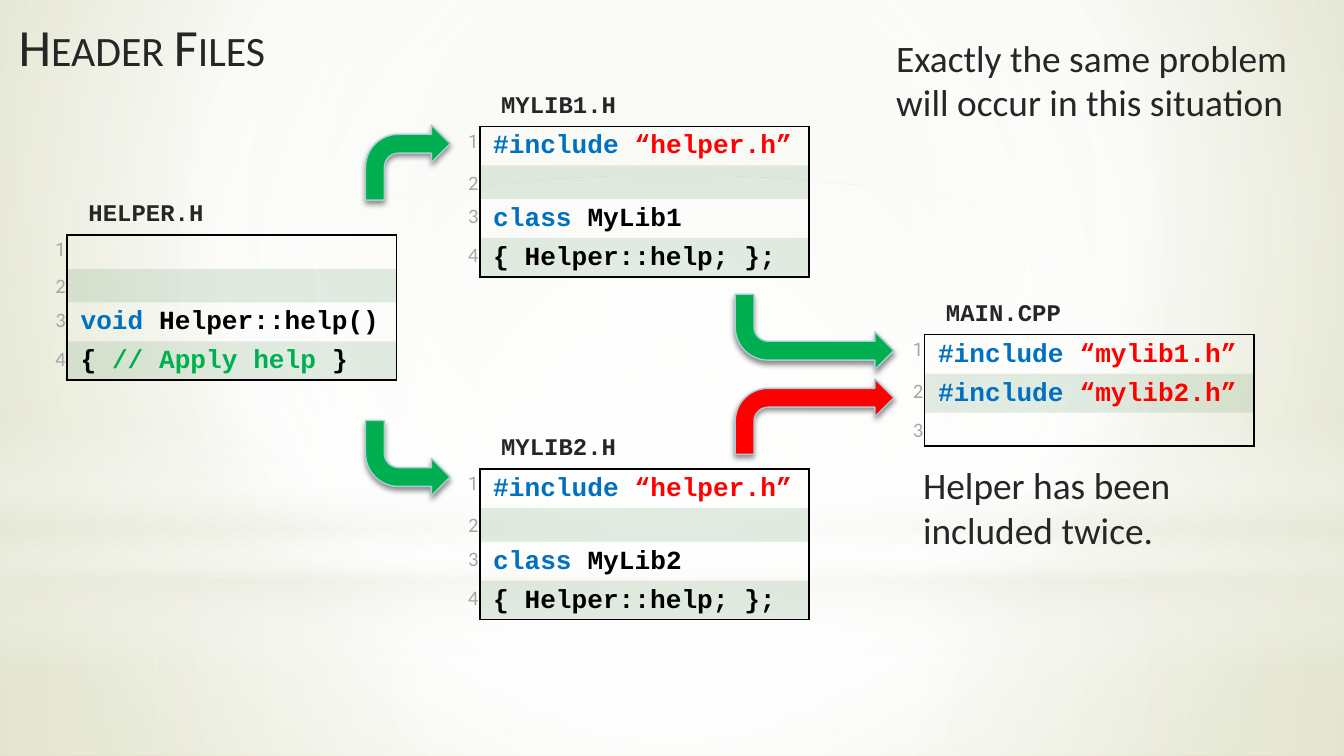
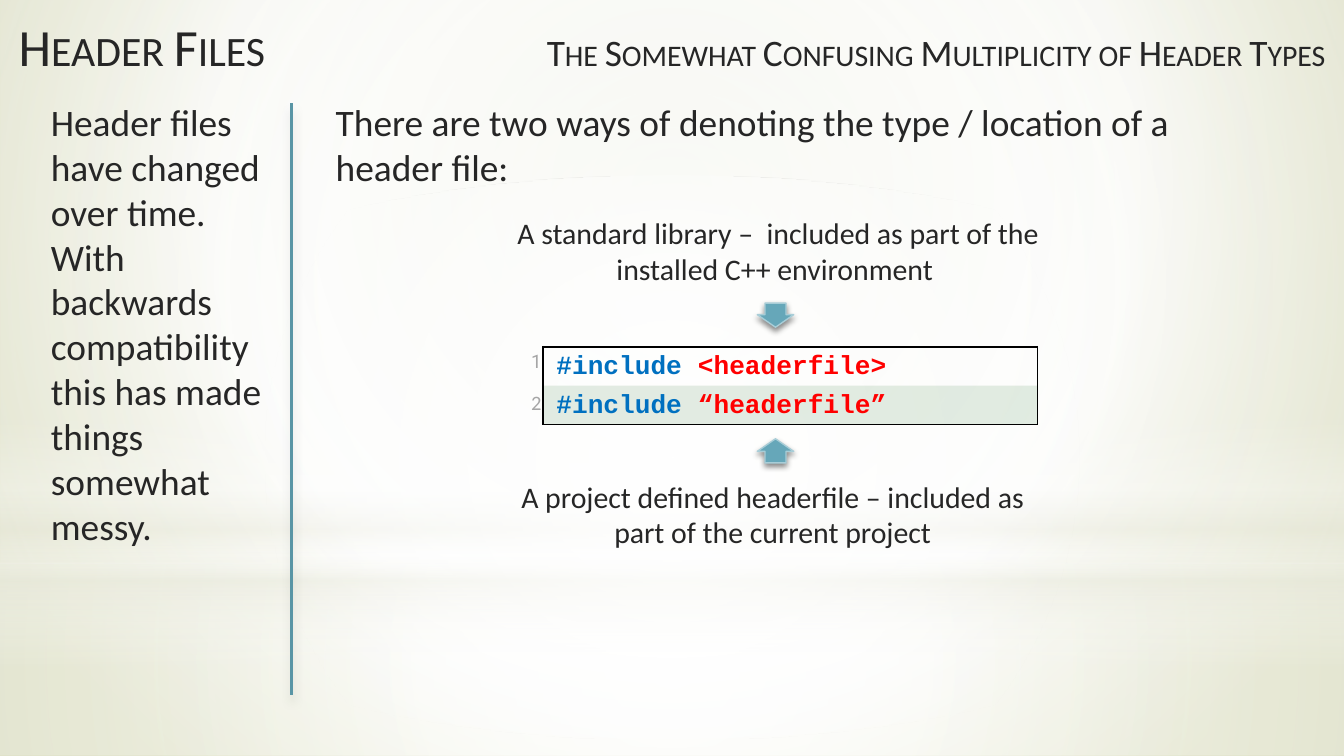
from lxml import etree
from pptx import Presentation
from pptx.dml.color import RGBColor
from pptx.enum.shapes import MSO_CONNECTOR, MSO_SHAPE
from pptx.enum.text import PP_ALIGN
from pptx.oxml.ns import qn
from pptx.util import Inches, Pt

RECT, ELLIPSE = MSO_SHAPE.RECTANGLE, MSO_SHAPE.OVAL
BENT_ARROW, RIGHT_ARROW = MSO_SHAPE.BENT_ARROW, MSO_SHAPE.RIGHT_ARROW
STRAIGHT = MSO_CONNECTOR.STRAIGHT
LEFT, CENTER, RIGHT = PP_ALIGN.LEFT, PP_ALIGN.CENTER, PP_ALIGN.RIGHT

SLIDE_WIDTH = 10
SLIDE_HEIGHT = SLIDE_WIDTH * 9 / 16

BODY_FONT, CODE_FONT, FIRST_NUMBER_FONT = "Calibri", "Courier New", "Roboto"
TEXT = RGBColor(0x26, 0x26, 0x26)
BLACK = RGBColor(0, 0, 0)
WHITE = RGBColor(0xFF, 0xFF, 0xFF)
NUMBER = RGBColor(0xA6, 0xA6, 0xA6)
KEYWORD = RGBColor(0x00, 0x70, 0xC0)
RED = RGBColor(0xFF, 0x00, 0x00)
GREEN = RGBColor(0x00, 0xB0, 0x50)
BAND = RGBColor(0x72, 0xA3, 0x76)
TEAL = RGBColor(0x66, 0xA7, 0xB9)
OUTLINE = RGBColor(0xA8, 0xCD, 0xD7)
DIVIDER = RGBColor(0x59, 0x95, 0xA5)
CREAM = RGBColor(0xEA, 0xEB, 0xDE)
PALE_OLIVE = RGBColor(0xE3, 0xE5, 0xD1)
OLIVE = RGBColor(0xCC, 0xD0, 0x9F)

NO_TABLE_STYLE = "{2D5ABB26-0587-4C30-8999-92F81FD0307C}"
CENTRE_FOCUS = (50, 50, 50, 50)
# Backdrop layers: shape, box, stops (position, colour, opacity), focus or None if linear
BACKDROP = [
    (RECT, (0, 4.19, SLIDE_WIDTH, SLIDE_HEIGHT - 4.19),
     [(0, WHITE, 91), (37, WHITE, 76), (100, CREAM, 79)], CENTRE_FOCUS),
    (RECT, (0, 0, SLIDE_WIDTH, 4.19),
     [(0, WHITE, 89), (48, WHITE, 62), (100, CREAM, 79)], CENTRE_FOCUS),
    (RECT, (0, 3.09, SLIDE_WIDTH, 1.88),
     [(0, WHITE, 0), (29, WHITE, 30), (45, CREAM, 40), (55, WHITE, 26),
      (65, CREAM, 60), (100, WHITE, 0)], None),
    (ELLIPSE, (0, 1.31, SLIDE_WIDTH, 4.19),
     [(0, WHITE, 100), (56, WHITE, 0)], CENTRE_FOCUS),
]


def inches(box):
    return [Inches(length) for length in box]


def add_xml(parent, tag, **attributes):
    element = etree.SubElement(parent, qn(tag))
    for key, value in attributes.items():
        element.set(key, str(value))
    return element


def add_colour(parent, colour, opacity=100):
    element = add_xml(parent, "a:srgbClr", val=colour)
    if opacity < 100:
        add_xml(element, "a:alpha", val=opacity * 1000)


def set_gradient(fill, owner, stops, focus):
    fill.gradient()
    gradient = owner.find(".//" + qn("a:gradFill"))
    for child in list(gradient):
        gradient.remove(child)
    stop_list = add_xml(gradient, "a:gsLst")
    for position, colour, opacity in stops:
        add_colour(add_xml(stop_list, "a:gs", pos=position * 1000), colour, opacity)
    if focus is None:
        add_xml(gradient, "a:lin", ang=90 * 60000, scaled=0)
    else:
        path = add_xml(gradient, "a:path", path="circle")
        sides = {side: value * 1000 for side, value in zip("ltrb", focus)}
        add_xml(path, "a:fillToRect", **sides)


def add_shadow(shape, opacity, blur, distance):
    properties = shape._element.spPr
    effects = properties.find(qn("a:effectLst"))
    if effects is None:
        effects = add_xml(properties, "a:effectLst")
    shadow = add_xml(effects, "a:outerShdw", blurRad=Pt(blur), dist=Pt(distance),
                     dir=90 * 60000, rotWithShape=0)
    add_colour(shadow, BLACK, opacity)


def set_font(font, name, size, colour, bold=False):
    font.name, font.size, font.bold = name, Pt(size), bold
    font.color.rgb = colour


def add_text(slide, box, text, size=20, align=LEFT, name=BODY_FONT, bold=False,
             small_caps=False):
    frame = slide.shapes.add_textbox(*inches(box)).text_frame
    frame.word_wrap = True
    paragraph = frame.paragraphs[0]
    paragraph.alignment = align
    run = paragraph.add_run()
    run.text = text
    set_font(paragraph.font, name, size, TEXT, bold)
    if small_caps:
        run._r.get_or_add_rPr().set("cap", "small")


def add_arrow(slide, kind, box, colour, flipped=False, rotation=0):
    arrow = slide.shapes.add_shape(kind, *inches(box))
    arrow.fill.solid()
    arrow.fill.fore_color.rgb = colour
    arrow.line.color.rgb = OUTLINE
    arrow.line.width = Pt(0.75)
    arrow.rotation = rotation
    if flipped:
        arrow._element.spPr.xfrm.set("flipV", "1")
    arrow.shadow.inherit = False
    add_shadow(arrow, 45, 3.1, 1.8)
    return arrow


def add_border(cell, sides):
    properties = cell._tc.get_or_add_tcPr()
    for side in sides:
        line = add_xml(properties, "a:ln" + side, w=Pt(1))
        add_colour(add_xml(line, "a:solidFill"), BLACK)


def prepare_cell(cell):
    cell.margin_left = cell.margin_right = Inches(0.01)
    cell.margin_top = cell.margin_bottom = Inches(0.01)
    paragraph = cell.text_frame.paragraphs[0]
    paragraph.line_spacing = 1.15
    return paragraph


def add_listing(slide, left, top, lines, number_width=0.22, code_width=2.45):
    """Numbered code lines; each line is a list of (text, colour) pieces."""
    heights = [0.29 if line else 0.25 for line in lines]
    frame = slide.shapes.add_table(
        len(lines), 2, *inches((left, top, number_width + code_width, sum(heights))))
    table = frame.table
    table.first_row = table.horz_banding = False
    table._tbl.tblPr.find(qn("a:tableStyleId")).text = NO_TABLE_STYLE
    table.columns[0].width = Inches(number_width)
    table.columns[1].width = Inches(code_width)

    for index, line in enumerate(lines):
        table.rows[index].height = Inches(heights[index])
        number_cell, code_cell = table.cell(index, 0), table.cell(index, 1)

        # Line number
        number = prepare_cell(number_cell)
        number.alignment = RIGHT
        number.add_run().text = str(index + 1)
        if index == 0:
            set_font(number.font, FIRST_NUMBER_FONT, 10, NUMBER)
        else:
            set_font(number.font, BODY_FONT, 11, NUMBER)
        add_border(number_cell, "R")
        number_cell.fill.background()

        # Code
        code = prepare_cell(code_cell)
        code._p.get_or_add_pPr().set("marL", str(Inches(0.09)))
        for text, colour in line:
            run = code.add_run()
            run.text = text
            set_font(run.font, CODE_FONT, 14, colour, True)
        if not line:
            add_xml(code._p, "a:endParaRPr", sz=1100)
        sides = "LR" + "T" * (index == 0) + "B" * (index == len(lines) - 1)
        add_border(code_cell, sides)
        if index % 2:
            code_cell.fill.solid()
            code_cell.fill.fore_color.rgb = BAND
            tint = code_cell._tc.tcPr.find(qn("a:solidFill"))[0]
            add_xml(tint, "a:alpha", val=20000)
        else:
            code_cell.fill.background()


def add_file(slide, left, top, file_name, lines):
    add_listing(slide, left, top, lines)
    add_text(slide, (left + 0.28, top - 0.37, 1.42, 0.37), file_name, 16,
             name=CODE_FONT, bold=True, small_caps=True)


def include(target):
    return [("#include ", KEYWORD), (target, RED)]


def library_lines(class_name):
    return [include("“helper.h”"), [],
            [("class ", KEYWORD), (class_name, BLACK)],
            [("{ Helper::help; };", BLACK)]]


def add_base_slide(deck):
    """Blank slide with the shared backdrop and title."""
    slide = deck.slides.add_slide(deck.slide_layouts[6])
    set_gradient(slide.background.fill, slide._element,
                 [(0, PALE_OLIVE, 100), (60, WHITE, 100), (100, OLIVE, 100)],
                 (20, 10, 20, 60))
    for kind, box, stops, focus in BACKDROP:
        layer = slide.shapes.add_shape(kind, *inches(box))
        set_gradient(layer.fill, layer._element, stops, focus)
        layer.line.fill.background()
        layer.shadow.inherit = False
    add_text(slide, (0.04, 0.06, 6.61, 0.63), "Header Files", 28, small_caps=True)
    return slide


def add_double_include_slide(deck):
    slide = add_base_slide(deck)

    # Source files
    add_file(slide, 0.28, 1.75, "helper.h", [
        [], [],
        [("void ", KEYWORD), ("Helper::help()", BLACK)],
        [("{ ", BLACK), ("// Apply help ", GREEN), ("}", BLACK)]])
    add_file(slide, 3.35, 0.94, "mylib1.h", library_lines("MyLib1"))
    add_file(slide, 3.35, 3.49, "mylib2.h", library_lines("MyLib2"))
    add_file(slide, 6.66, 2.49, "main.cpp",
             [include("“mylib1.h”"), include("“mylib2.h”"), []])

    # Include paths
    for left, top, width, colour, flipped in [
            (2.72, 0.93, 0.63, GREEN, False), (2.72, 3.13, 0.63, GREEN, True),
            (5.47, 2.19, 1.18, GREEN, True), (5.47, 2.82, 1.18, RED, False)]:
        add_arrow(slide, BENT_ARROW, (left, top, width, 0.56), colour, flipped)

    # Remarks
    add_text(slide, (6.57, 0.21, 3.31, 0.77),
             "Exactly the same problem will occur in this situation")
    add_text(slide, (6.77, 3.39, 2.96, 0.77), "Helper has been included twice.")


def add_header_types_slide(deck):
    slide = add_base_slide(deck)
    add_text(slide, (3.66, 0.17, 6.3, 0.44),
             "The Somewhat Confusing Multiplicity of Header Types",
             align=RIGHT, small_caps=True)

    # Side note and divider
    add_text(slide, (0.28, 0.69, 1.89, 3.47),
             "Header files have changed over time. With backwards compatibility "
             "this has made things somewhat messy.")
    divider = slide.shapes.add_connector(STRAIGHT, *inches((2.17, 0.77, 2.17, 5.17)))
    divider.line.color.rgb = DIVIDER
    divider.line.width = Pt(1.25)
    add_shadow(divider, 20, 5, 4)

    # The two include forms
    add_text(slide, (2.4, 0.69, 7.17, 0.77),
             "There are two ways of denoting the type / location of a header file:")
    add_listing(slide, 3.7, 2.58, [include("<headerfile>"), include("“headerfile”")],
                0.34, 3.68)
    add_text(slide, (3.43, 1.55, 4.72, 0.64),
             "A standard library –  included as part of the installed C++ environment ",
             16, CENTER)
    add_text(slide, (3.74, 3.51, 4.02, 0.64),
             "A project defined headerfile – included as part of the current project",
             16, CENTER)
    for top, rotation in [(2.21, 90), (3.22, 270)]:
        pointer = add_arrow(slide, RIGHT_ARROW, (5.68, top, 0.18, 0.27), TEAL,
                            rotation == 270, rotation)
        pointer.adjustments[0], pointer.adjustments[1] = 0.58, 0.52


def main():
    deck = Presentation()
    deck.slide_width, deck.slide_height = inches((SLIDE_WIDTH, SLIDE_HEIGHT))
    add_double_include_slide(deck)
    add_header_types_slide(deck)
    deck.save("out.pptx")


if __name__ == "__main__":
    main()
